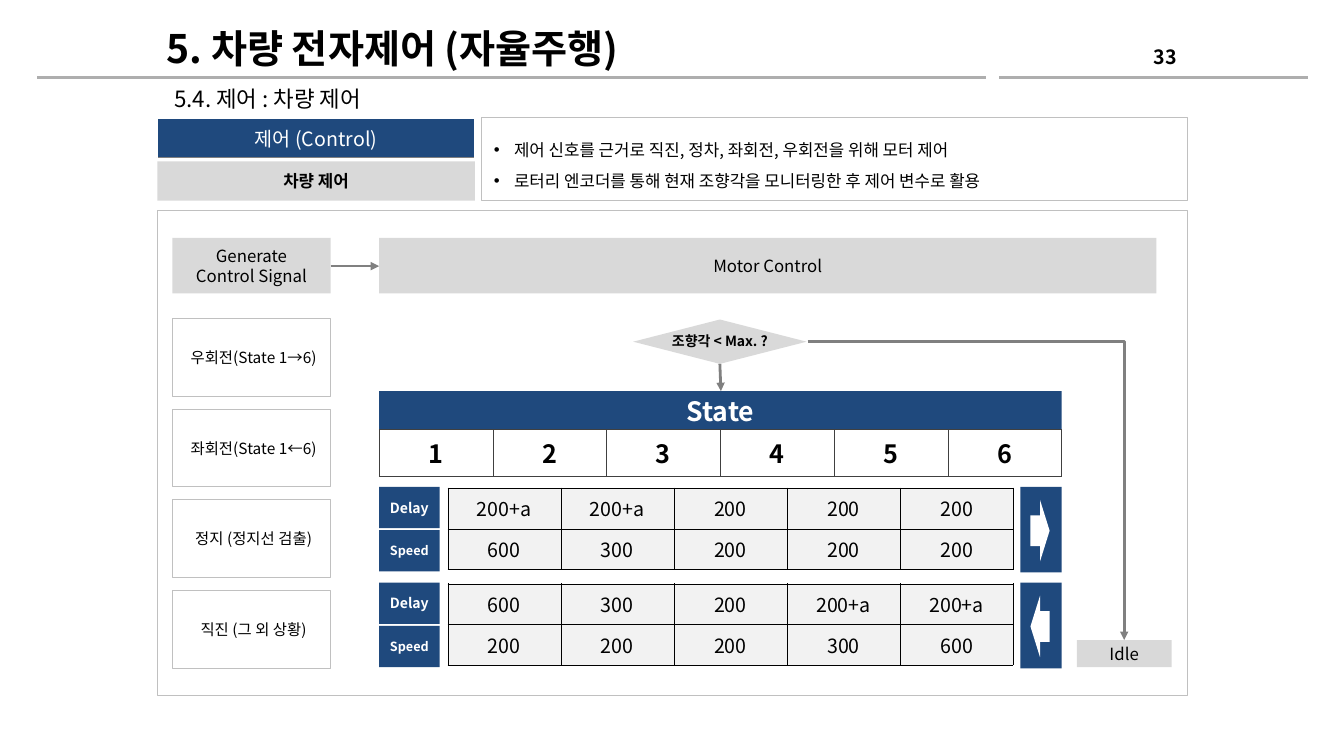
from lxml import etree
from pptx import Presentation
from pptx.dml.color import RGBColor
from pptx.enum.shapes import MSO_CONNECTOR, MSO_SHAPE
from pptx.enum.text import MSO_ANCHOR, PP_ALIGN
from pptx.oxml.ns import qn
from pptx.util import Inches, Pt

RECT, DIAMOND = MSO_SHAPE.RECTANGLE, MSO_SHAPE.DIAMOND
RIGHT_ARROW, LEFT_ARROW = MSO_SHAPE.RIGHT_ARROW, MSO_SHAPE.LEFT_ARROW
STRAIGHT, ELBOW = MSO_CONNECTOR.STRAIGHT, MSO_CONNECTOR.ELBOW
LEFT, CENTER, RIGHT = PP_ALIGN.LEFT, PP_ALIGN.CENTER, PP_ALIGN.RIGHT
TOP, MIDDLE = MSO_ANCHOR.TOP, MSO_ANCHOR.MIDDLE

FONT = "Noto Sans CJK KR"
COLORS = {
    "navy": "1F497D", "gray": "D9D9D9", "pale": "F2F2F2", "white": "FFFFFF",
    "black": "000000", "frame": "C0C0C0", "arrow": "808080", "rule": "AEAEAE",
    "grid": "404040",
}

TITLE = "5. 차량 전자제어 (자율주행)"
SUBTITLE = "5.4. 제어 : 차량 제어"
PAGE_NUMBER = "33"
SECTION = "제어 (Control)"
TOPIC = "차량 제어"
NOTES = [
    "제어 신호를 근거로 직진, 정차, 좌회전, 우회전을 위해 모터 제어",
    "로터리 엔코더를 통해 현재 조향각을 모니터링한 후 제어 변수로 활용",
]
SIGNALS = ["우회전(State 1→6)", "좌회전(State 1←6)", "정지 (정지선 검출)", "직진 (그 외 상황)"]
STATES = ["1", "2", "3", "4", "5", "6"]
ROW_LABELS = [("Delay", 10), ("Speed", 9)]
TRANSITIONS = [
    (RIGHT_ARROW, [["200+a", "200+a", "200", "200", "200"],
                   ["600", "300", "200", "200", "200"]]),
    (LEFT_ARROW, [["600", "300", "200", "200+a", "200+a"],
                  ["200", "200", "200", "300", "600"]]),
]

# Shared positions, in inches
SIGNAL_X, SIGNAL_Y, SIGNAL_STEP = 1.71, 3.16, 0.9
STATE_X, STATE_W = 3.76, 6.77
TRANSITION_Y, TRANSITION_STEP, LABEL_STEP = 4.83, 0.95, 0.43

prs = Presentation()
prs.slide_width, prs.slide_height = Inches(13.33), Inches(7.5)
slide = prs.slides.add_slide(prs.slide_layouts[5])


def rgb(name):
    return RGBColor.from_string(COLORS[name])


def write(frame, text, size=12, color="black", bold=False, align=CENTER,
          anchor=MIDDLE, wrap=True, insets=(0.1, 0.05, 0.1, 0.05),
          spacing=None, bullet=False):
    """Fill a text frame; text is one string or a list of paragraphs."""
    frame.word_wrap = wrap
    frame.vertical_anchor = anchor
    (frame.margin_left, frame.margin_top,
     frame.margin_right, frame.margin_bottom) = map(Inches, insets)
    lines = [text] if isinstance(text, str) else text
    for index, line in enumerate(lines):
        paragraph = frame.add_paragraph() if index else frame.paragraphs[0]
        paragraph.alignment = align
        paragraph.space_before = Pt(0)
        if spacing:
            paragraph.line_spacing = spacing
        if bullet:
            props = paragraph._p.get_or_add_pPr()
            props.set("marL", str(Inches(0.2)))
            props.set("indent", str(Inches(-0.2)))
            etree.SubElement(props, qn("a:buFont"), typeface="Arial")
            etree.SubElement(props, qn("a:buChar"), char="•")
        run = paragraph.add_run()
        run.text = line
        run.font.size, run.font.bold = Pt(size), bold
        run.font.color.rgb = rgb(color)
        run.font.name = FONT
        etree.SubElement(run._r.get_or_add_rPr(), qn("a:ea"), typeface=FONT)


def add_block(box, fill=None, line=None, kind=RECT, text=None, **style):
    block = slide.shapes.add_shape(kind, *map(Inches, box))
    block.shadow.inherit = False
    if fill:
        block.fill.solid()
        block.fill.fore_color.rgb = rgb(fill)
    else:
        block.fill.background()
    if line:
        block.line.color.rgb = rgb(line)
        block.line.width = Pt(0.75)
    else:
        block.line.fill.background()
    if text:
        write(block.text_frame, text, **style)


def add_label(box, text, **style):
    write(slide.shapes.add_textbox(*map(Inches, box)).text_frame, text, **style)


def add_line(start, end, color="arrow", arrow=True, kind=STRAIGHT):
    line = slide.shapes.add_connector(kind, *map(Inches, start + end))
    line.line.color.rgb = rgb(color)
    line.line.width = Pt(2)
    props = line._element.spPr
    if kind == ELBOW:  # a single corner: across, then down
        props.find(qn("a:prstGeom")).set("prst", "bentConnector2")
    if arrow:
        etree.SubElement(props.find(qn("a:ln")), qn("a:tailEnd"), type="triangle")
    etree.SubElement(props, qn("a:effectLst"))


def add_grid(box, rows, fill, border, width=0.25, sides="LRTB", **style):
    table = slide.shapes.add_table(len(rows), len(rows[0]), *map(Inches, box)).table
    table.first_row = table.horz_banding = False
    for r, row in enumerate(rows):
        for c, value in enumerate(row):
            cell = table.cell(r, c)
            for side in sides:
                edge = etree.SubElement(cell._tc.get_or_add_tcPr(),
                                        qn("a:ln" + side), w=str(Pt(width)))
                paint = etree.SubElement(edge, qn("a:solidFill"))
                etree.SubElement(paint, qn("a:srgbClr"), val=COLORS[border])
            cell.fill.solid()
            cell.fill.fore_color.rgb = rgb(fill)
            write(cell.text_frame, value, **style)
            cell.vertical_anchor = MIDDLE


# Heading
add_line((0.37, 0.77), (9.78, 0.77), "rule", arrow=False)
add_line((9.91, 0.77), (12.97, 0.77), "rule", arrow=False)
title = slide.shapes.title
title.left, title.top, title.width, title.height = map(Inches, (1.55, 0.2, 7.36, 0.55))
write(title.text_frame, TITLE, size=28, bold=True, align=LEFT, insets=(0.1, 0, 0.1, 0))
add_label((1.63, 0.78, 4.16, 0.39), SUBTITLE, size=16, align=LEFT)
add_label((11.23, 0.36, 0.54, 0.4), PAGE_NUMBER, size=14, bold=True, align=RIGHT)

# Topic and notes
add_grid((1.56, 1.17, 3.15, 0.39), [[SECTION]], "navy", "arrow", width=1, sides="B",
         size=14, color="white")
add_block((1.56, 1.6, 3.15, 0.39), "gray", text=TOPIC, bold=True)
add_block((4.78, 1.17, 7, 0.82), line="frame")
add_label((4.8, 1.24, 6.28, 0.71), NOTES, align=LEFT, anchor=TOP, spacing=1.5, bullet=True)

# Control flow
add_block((1.56, 2.09, 10.22, 4.81), line="frame")
add_block((SIGNAL_X, 2.36, 1.57, 0.55), "gray", text=["Generate", "Control Signal"])
add_block((STATE_X, 2.36, 7.71, 0.55), "gray", text="Motor Control")
add_line((3.28, 2.64), (STATE_X, 2.64))
for i, signal in enumerate(SIGNALS):
    add_block((SIGNAL_X, SIGNAL_Y + i * SIGNAL_STEP, 1.57, 0.77), line="frame",
              text=signal, size=11, wrap=False, insets=(0.14, 0.05, 0.1, 0.05))

add_block((6.28, 3.17, 1.72, 0.44), "gray", kind=DIAMOND)
add_label((6.51, 3.25, 1.26, 0.27), "조향각 < Max. ?", size=10, bold=True)
add_block((10.68, 6.35, 0.94, 0.27), "gray", text="Idle")
add_line((8.01, 3.39), (11.15, 6.35), kind=ELBOW)

# States and their transitions
add_block((STATE_X, 3.88, STATE_W, 0.39), "navy", text="State", size=19,
          color="white", bold=True)
add_line((7.14, 3.61), (7.15, 3.88))
add_grid((STATE_X, 4.26, STATE_W, 0.46), [STATES], "white", "grid", size=18, bold=True)
for i, (direction, values) in enumerate(TRANSITIONS):
    y = TRANSITION_Y + i * TRANSITION_STEP
    for j, (label, size) in enumerate(ROW_LABELS):
        add_block((STATE_X, y + j * LABEL_STEP, 0.6, 0.41), "navy", text=label,
                  size=size, color="white", bold=True, insets=(0, 0.05, 0, 0.05))
    add_grid((4.44, y + 0.01, 5.61, 0.81), values, "pale", "black", size=14)
    add_block((10.12, y, 0.41, 0.85), "navy")
    add_block((10.22, y + 0.13, 0.19, 0.61), "white", kind=direction)

prs.save("out.pptx")
